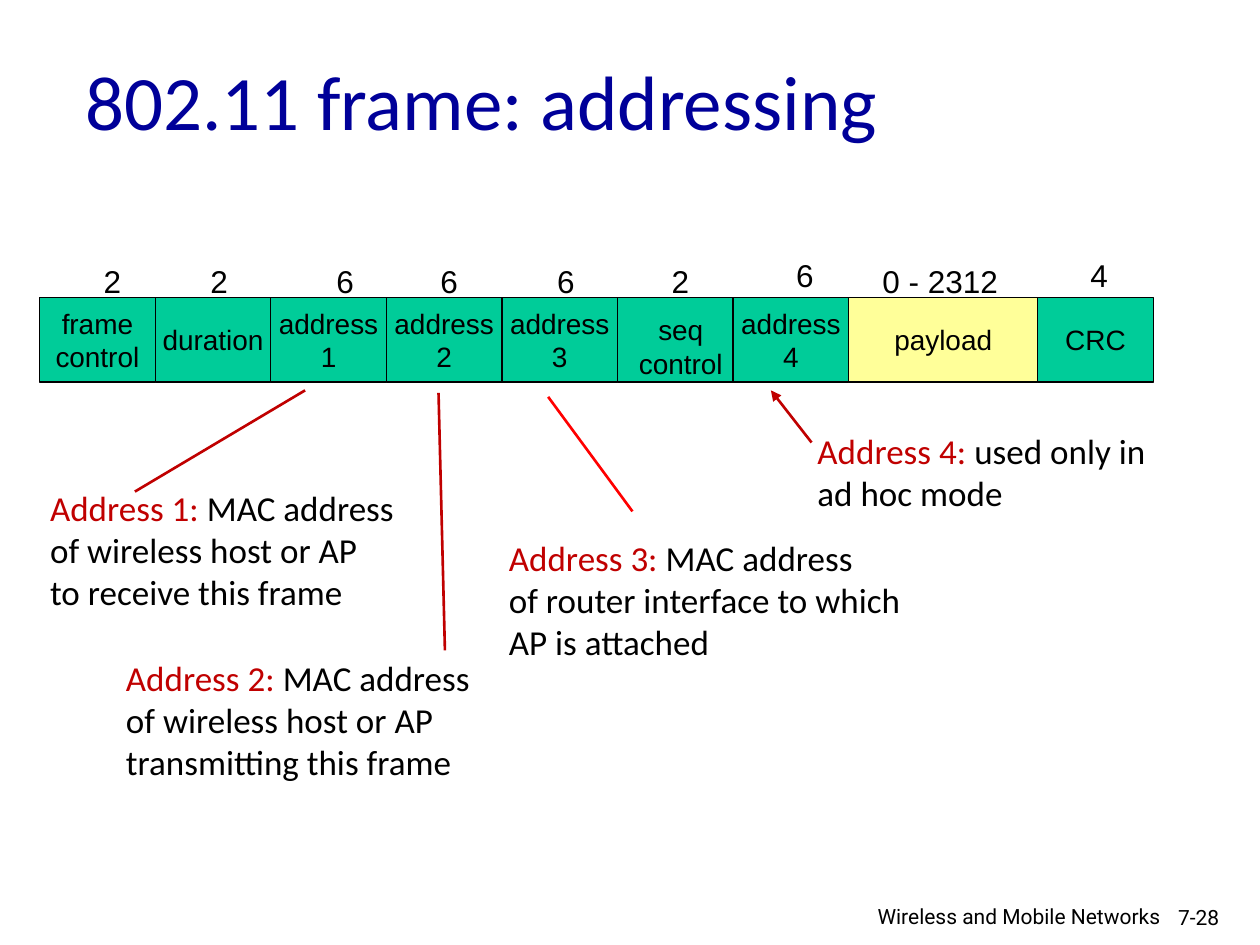
from pptx import Presentation
from pptx.dml.color import RGBColor
from pptx.enum.shapes import MSO_CONNECTOR, MSO_SHAPE
from pptx.enum.text import MSO_ANCHOR, PP_ALIGN
from pptx.oxml.ns import qn
from pptx.util import Cm, Pt
from lxml import etree

LEFT, CENTER, RIGHT = PP_ALIGN.LEFT, PP_ALIGN.CENTER, PP_ALIGN.RIGHT
TOP, MIDDLE = MSO_ANCHOR.TOP, MSO_ANCHOR.MIDDLE
RECT = MSO_SHAPE.RECTANGLE
STRAIGHT = MSO_CONNECTOR.STRAIGHT

BLACK, NAVY, DARK_RED, RED = "000000", "000099", "C00000", "FF0000"
GREEN, YELLOW = "00CC99", "FFFF99"
FIELD_W, PAYLOAD_W = 2.33, 3.81

FIELDS = [
    (["frame", "control"], "2", 1.04, -0.84),
    (["duration"], "2", 0.86, -0.84),
    (["address", "1"], "6", 1.07, -0.84),
    (["address", "2"], "6", 0.84, -0.84),
    (["address", "3"], "6", 0.86, -0.84),
    (["seq", "control"], "2", 0.84, -0.84),
    (["address", "4"], "6", 1.02, -0.97),
    (["payload"], "0 - 2312", 0.43, -0.84),
    (["CRC"], "4", 0.81, -0.97),
]

CALLOUTS = [
    ((0.76, 9.68, 7.59, 2.82), "Address 1: ",
     ["MAC address", "of wireless host or AP", "to receive this frame"],
     (1.96, 0.23), (5.39, -1.81), {}),
    ((2.29, 13.11, 7.59, 2.82), "Address 2: ",
     ["MAC address", "of wireless host or AP", "transmitting this frame"],
     (6.68, 0), (6.55, -5.19), {}),
    ((10.01, 10.69, 8.48, 2.82), "Address 3: ",
     ["MAC address", "of router interface to which AP is attached"],
     (2.74, -0.38), (1.04, -2.69), {"color": RED, "wrap": True}),
    ((16.23, 8.53, 7.24, 1.96), "Address 4: ", ["used only in ad hoc mode"],
     (0.13, 0.39), (-0.69, -0.66), {"arrow": True, "wrap": True}),
]


def rgb(value):
    return RGBColor.from_string(value)


def write(sp, lines, size=16, font="Arial", color=BLACK, align=LEFT,
          anchor=TOP, wrap=False, lead="", lead_color=DARK_RED):
    tf = sp.text_frame
    tf.word_wrap = wrap
    tf.vertical_anchor = anchor
    for i, line in enumerate(lines):
        p = tf.paragraphs[0] if i == 0 else tf.add_paragraph()
        p.alignment = align
        runs = [(line, color)]
        if i == 0 and lead:
            runs.insert(0, (lead, lead_color))
        for content, run_color in runs:
            r = p.add_run()
            r.text = content
            r.font.size = Pt(size)
            r.font.name = font
            r.font.color.rgb = rgb(run_color)


def add_text(s, box, lines, **fmt):
    sp = s.shapes.add_textbox(*map(Cm, box))
    write(sp, lines, **fmt)
    return sp


def add_line(s, start, end, color, arrow):
    line = s.shapes.add_connector(STRAIGHT, *map(Cm, start + end))
    line.line.color.rgb = rgb(color)
    line.line.width = Pt(1.5)
    if arrow:
        ln = line.line._get_or_add_ln()
        etree.SubElement(ln, qn("a:tailEnd"), type="triangle")
    etree.SubElement(line._element.spPr, qn("a:effectLst"))


def add_frame(s, left, top, height):
    x = left
    for lines, count, dx, dy in FIELDS:
        is_payload = lines == ["payload"]
        width = PAYLOAD_W if is_payload else FIELD_W
        sp = s.shapes.add_shape(RECT, Cm(x), Cm(top), Cm(width), Cm(height))
        sp.shadow.inherit = False
        sp.fill.solid()
        sp.fill.fore_color.rgb = rgb(YELLOW if is_payload else GREEN)
        sp.line.color.rgb = rgb(BLACK)
        sp.line.width = Pt(0.75)
        if lines[0] == "seq":
            add_text(s, (x + 0.17, top + 0.18, 2.21, 1.63), lines, align=CENTER)
        else:
            write(sp, lines, align=CENTER, anchor=MIDDLE)
        count_w = 2.84 if is_payload else 0.86
        add_text(s, (x + dx, top + dy, count_w, 1.02), [count], size=18)
        x += width


def add_callout(s, box, lead, lines, start, end,
                color=DARK_RED, arrow=False, wrap=False):
    left, top = box[:2]
    add_line(s, (left + start[0], top + start[1]),
             (left + end[0], top + end[1]), color, arrow)
    add_text(s, box, lines, size=20, font="Calibri", lead=lead, wrap=wrap)


def add_footer(s, left, top):
    fmt = {"size": 12, "font": "Roboto", "wrap": True}
    add_text(s, (left, top, 7.49, 0.71), ["Wireless and Mobile Networks "],
             align=RIGHT, **fmt)
    add_text(s, (left + 7.24, top + 0.03, 1.9, 0.76), ["7-28"], **fmt)


def main():
    prs = Presentation()
    prs.slide_width, prs.slide_height = Cm(25.4), Cm(19.05)
    s = prs.slides.add_slide(prs.slide_layouts[6])
    add_text(s, (1.47, 0.43, 17.81, 3.18), ["802.11 frame: addressing"],
             size=44, font="Calibri", color=NAVY, anchor=MIDDLE, wrap=True)
    add_frame(s, 0.8, 6, 1.7)
    for box, lead, lines, start, end, fmt in CALLOUTS:
        add_callout(s, box, lead, lines, start, end, **fmt)
    add_footer(s, 16.26, 18.08)
    prs.save("out.pptx")


if __name__ == "__main__":
    main()
